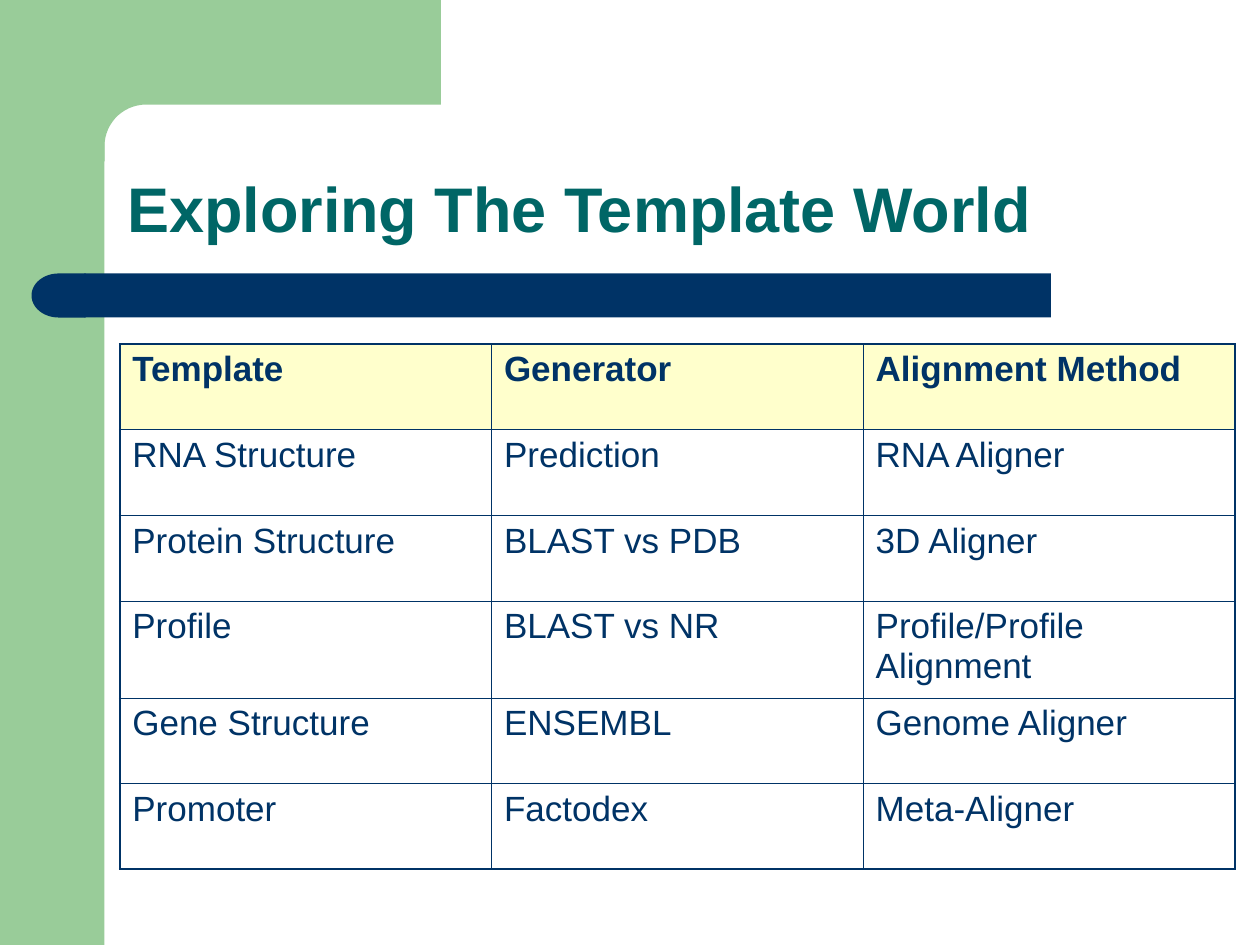
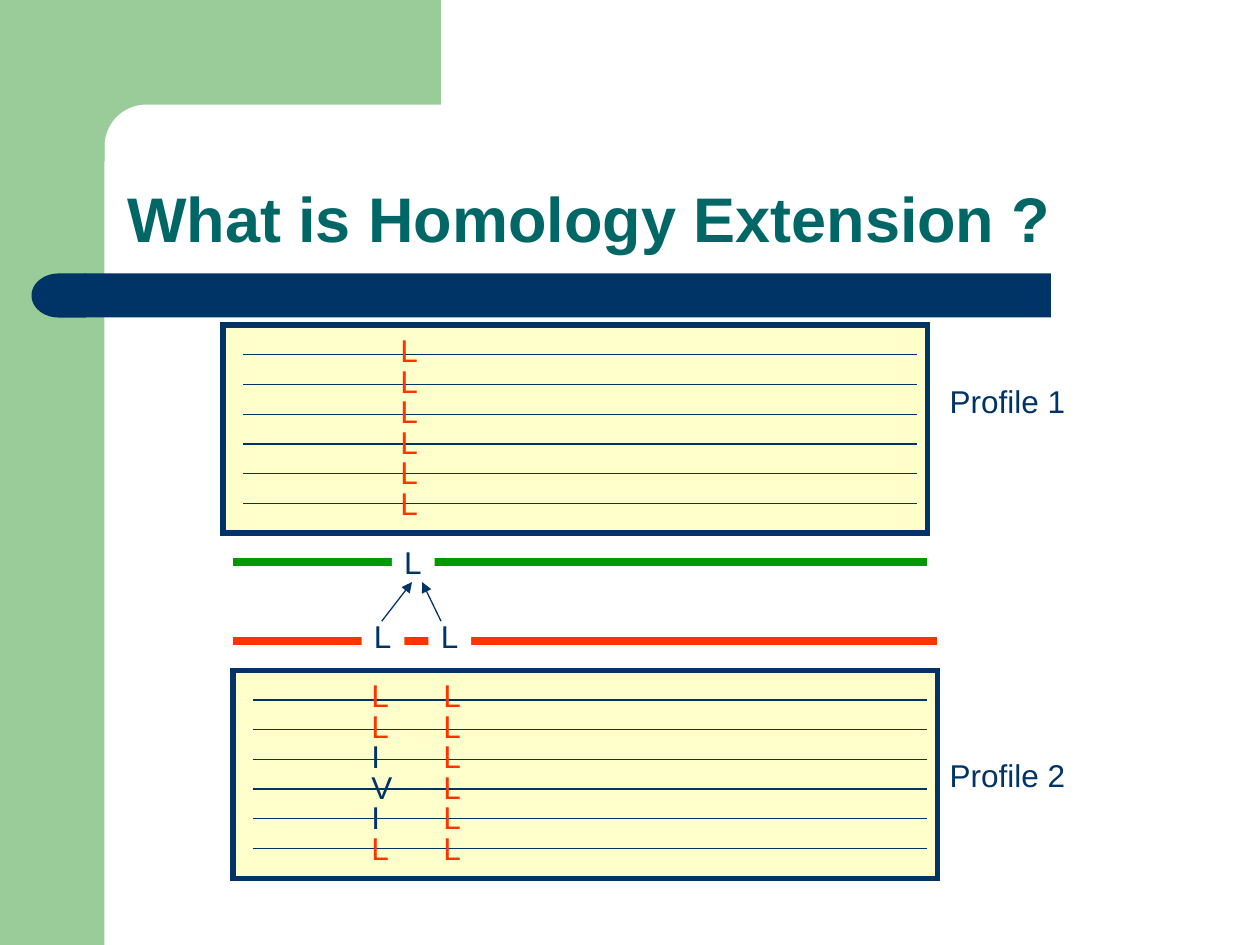
import dataclasses
import math

import lxml.etree
import pptx
import pptx.dml.color
import pptx.enum.shapes
import pptx.enum.text
import pptx.oxml.ns
import pptx.util

Inches = pptx.util.Inches
Pt = pptx.util.Pt
Anchor = pptx.enum.text.MSO_ANCHOR
Align = pptx.enum.text.PP_ALIGN
AutoSize = pptx.enum.text.MSO_AUTO_SIZE
Preset = pptx.enum.shapes.MSO_SHAPE
qn = pptx.oxml.ns.qn


@dataclasses.dataclass(frozen=True)
class Theme:
    font: str = "Arial"
    navy: str = "003366"
    teal: str = "006666"
    leaf: str = "99CC99"
    green: str = "009900"
    red: str = "FF3300"
    cream: str = "FFFFCC"
    white: str = "FFFFFF"
    title_size: int = 36
    table_size: int = 20
    label_size: int = 18
    thin: float = 0.75
    frame: float = 3
    thick: float = 4.5
    cell_line: float = 0.45
    table_edge: float = 1.08


THEME = Theme()

TEMPLATE_ROWS = [
    ("Template", "Generator", "Alignment Method"),
    ("RNA Structure", "Prediction", "RNA Aligner"),
    ("Protein Structure", "BLAST vs PDB", "3D Aligner"),
    ("Profile", "BLAST vs NR", "Profile/Profile Alignment"),
    ("Gene Structure", "ENSEMBL", "Genome Aligner"),
    ("Promoter", "Factodex", "Meta-Aligner"),
]
ROW_HEIGHTS = [0.68, 0.68, 0.68, 0.77, 0.68, 0.68]
COLUMN_WIDTH = 2.95

LETTER_WIDTHS = {"L": 0.34, "I": 0.27, "V": 0.36}
LABEL_HEIGHT = 0.4
PROFILE_WIDTH, PROFILE_HEIGHT = 5.59, 1.65
SEQUENCE_COUNT = 6
SEQUENCE_GAP = PROFILE_HEIGHT / (SEQUENCE_COUNT + 1)
RESIDUE_GAP = 1.21 / (SEQUENCE_COUNT - 1)


def rgb(colour):
    return pptx.dml.color.RGBColor.from_string(colour)


def write_text(frame, text, *, size, colour=THEME.navy, bold=False,
               align=Align.LEFT, line_spacing=None):
    """Put one formatted paragraph in a text frame."""
    frame.text = text
    paragraph = frame.paragraphs[0]
    paragraph.alignment = align
    paragraph.line_spacing = line_spacing
    font = paragraph.font
    font.name = THEME.font
    font.size = Pt(size)
    font.bold = bold
    font.color.rgb = rgb(colour)


def paint(shape, fill, line=None, line_width=THEME.frame):
    shape.shadow.inherit = False
    shape.fill.solid()
    shape.fill.fore_color.rgb = rgb(fill)
    if line:
        shape.line.color.rgb = rgb(line)
        shape.line.width = Pt(line_width)
        outline = shape.line._get_or_add_ln()
        lxml.etree.SubElement(outline, qn("a:miter"), lim="800000")
    else:
        shape.line.fill.background()


def add_block(slide, preset, left, top, width, height, fill, line=None):
    shape = slide.shapes.add_shape(
        preset, Inches(left), Inches(top), Inches(width), Inches(height))
    paint(shape, fill, line)
    return shape


def add_line(slide, start, end, colour=THEME.navy, width=THEME.thin, arrow=False):
    connector = slide.shapes.add_connector(
        pptx.enum.shapes.MSO_CONNECTOR.STRAIGHT,
        *(Inches(value) for value in (*start, *end)))
    connector.line.color.rgb = rgb(colour)
    connector.line.width = Pt(width)
    if arrow:
        outline = connector.line._get_or_add_ln()
        lxml.etree.SubElement(outline, qn("a:tailEnd"), type="triangle")
    lxml.etree.SubElement(connector._element.spPr, qn("a:effectLst"))


def add_label(slide, text, left, top, width, *, fill=None, **text_format):
    box = slide.shapes.add_textbox(
        Inches(left), Inches(top), Inches(width), Inches(LABEL_HEIGHT))
    if fill:
        box.fill.solid()
        box.fill.fore_color.rgb = rgb(fill)
    frame = box.text_frame
    frame.word_wrap = False
    frame.auto_size = AutoSize.SHAPE_TO_FIT_TEXT
    write_text(frame, text, size=THEME.label_size, **text_format)


def add_corner(slide):
    """Green top band with a rounded inner corner."""
    radius, inner_left, inner_top = 0.33, 0.83, 0.83
    centre_x, centre_y = inner_left + radius, inner_top + radius
    arc = []
    for degrees in range(90, 181, 6):
        angle = math.radians(degrees)
        arc.append((centre_x + radius * math.cos(angle),
                    centre_y - radius * math.sin(angle)))
    points = [(3.5, 0), (3.5, inner_top), *arc, (inner_left, 1.28), (0.5, 1.28)]
    builder = slide.shapes.build_freeform(Inches(0.5), 0)
    builder.add_line_segments([(Inches(x), Inches(y)) for x, y in points])
    paint(builder.convert_to_shape(), THEME.leaf)


def add_base_slide(presentation, title, title_top):
    """Start a slide with the shared bands and a title."""
    slide = presentation.slides.add_slide(presentation.slide_layouts[5])
    add_block(slide, Preset.RECTANGLE, 0, 0, 0.83, 7.5, THEME.leaf)
    add_corner(slide)
    add_block(slide, Preset.RECTANGLE, 0.67, 2.17, 7.67, 0.35, THEME.navy)
    cap = add_block(slide, Preset.FLOWCHART_DELAY, 0.25, 2.17, 0.43, 0.35, THEME.navy)
    cap.rotation = 180

    heading = slide.shapes.title
    heading.left, heading.top = Inches(0.91), Inches(title_top)
    heading.width, heading.height = Inches(8.51), Inches(1.09)
    frame = heading.text_frame
    frame.word_wrap = True
    frame.auto_size = AutoSize.NONE
    frame.vertical_anchor = Anchor.BOTTOM
    write_text(frame, title, size=THEME.title_size, colour=THEME.teal,
               bold=True, line_spacing=0.9)
    return slide


def set_cell_borders(cell, outer_sides):
    properties = cell._tc.get_or_add_tcPr()
    for side in "LRTB":
        width = THEME.table_edge if side in outer_sides else THEME.cell_line
        line = lxml.etree.SubElement(
            properties, qn(f"a:ln{side}"), w=str(int(Pt(width))))
        fill = lxml.etree.SubElement(line, qn("a:solidFill"))
        lxml.etree.SubElement(fill, qn("a:srgbClr"), val=THEME.navy)


def add_template_table(slide, left, top):
    row_count, column_count = len(TEMPLATE_ROWS), len(TEMPLATE_ROWS[0])
    table = slide.shapes.add_table(
        row_count, column_count, Inches(left), Inches(top),
        Inches(COLUMN_WIDTH * column_count), Inches(sum(ROW_HEIGHTS))).table
    table.horz_banding = False
    for column in table.columns:
        column.width = Inches(COLUMN_WIDTH)
    for row_index, values in enumerate(TEMPLATE_ROWS):
        table.rows[row_index].height = Inches(ROW_HEIGHTS[row_index])
        is_header = row_index == 0
        for column_index, value in enumerate(values):
            cell = table.cell(row_index, column_index)
            edges = {"L": column_index == 0, "R": column_index == column_count - 1,
                     "T": is_header, "B": row_index == row_count - 1}
            set_cell_borders(cell, [side for side, outer in edges.items() if outer])
            if is_header:
                cell.fill.solid()
                cell.fill.fore_color.rgb = rgb(THEME.cream)
            else:
                cell.fill.background()
            write_text(cell.text_frame, value, size=THEME.table_size, bold=is_header)


def add_profile(slide, name, left, top, name_top, residue_columns):
    """Framed stack of sequences with columns of residues and a name."""
    add_block(slide, Preset.RECTANGLE, left, top, PROFILE_WIDTH, PROFILE_HEIGHT,
              THEME.cream, THEME.navy)
    for index in range(SEQUENCE_COUNT):
        y = top + SEQUENCE_GAP * (index + 1)
        add_line(slide, (left + 0.16, y), (left + PROFILE_WIDTH - 0.08, y))
    for column_left, residues in residue_columns:
        for index, residue in enumerate(residues):
            add_label(slide, residue, column_left, top + RESIDUE_GAP * index,
                      LETTER_WIDTHS[residue],
                      colour=THEME.red if residue == "L" else THEME.navy)
    add_label(slide, name, 7.42, name_top, 1.15, align=Align.CENTER)


def build_template_slide(presentation):
    slide = add_base_slide(presentation, "Exploring The Template World", 0.91)
    add_template_table(slide, 0.95, 2.73)


def build_homology_slide(presentation):
    slide = add_base_slide(presentation, "What is Homology Extension ?", 0.99)

    # The two sequences being aligned, with their residues
    add_line(slide, (1.85, 4.46), (7.36, 4.46), THEME.green, THEME.thick)
    add_line(slide, (1.85, 5.09), (7.44, 5.09), THEME.red, THEME.thick)
    for left, top in ((2.87, 4.85), (3.4, 4.85), (3.11, 4.26)):
        add_label(slide, "L", left, top, LETTER_WIDTHS["L"], fill=THEME.white)
    for start_x, end_x in ((3.03, 3.27), (3.5, 3.35)):
        add_line(slide, (start_x, 4.93), (end_x, 4.62), arrow=True)

    # The profile behind each sequence
    add_profile(slide, "Profile 1", 1.77, 2.58, 2.98, [(3.08, "LLLLLL")])
    add_profile(slide, "Profile 2", 1.85, 5.32, 5.95,
                [(3.42, "LLLLLL"), (2.85, "LLIVIL")])


def main():
    presentation = pptx.Presentation()
    presentation.slide_width = Inches(10)
    presentation.slide_height = Inches(7.5)
    build_template_slide(presentation)
    build_homology_slide(presentation)
    presentation.save("out.pptx")


if __name__ == "__main__":
    main()
